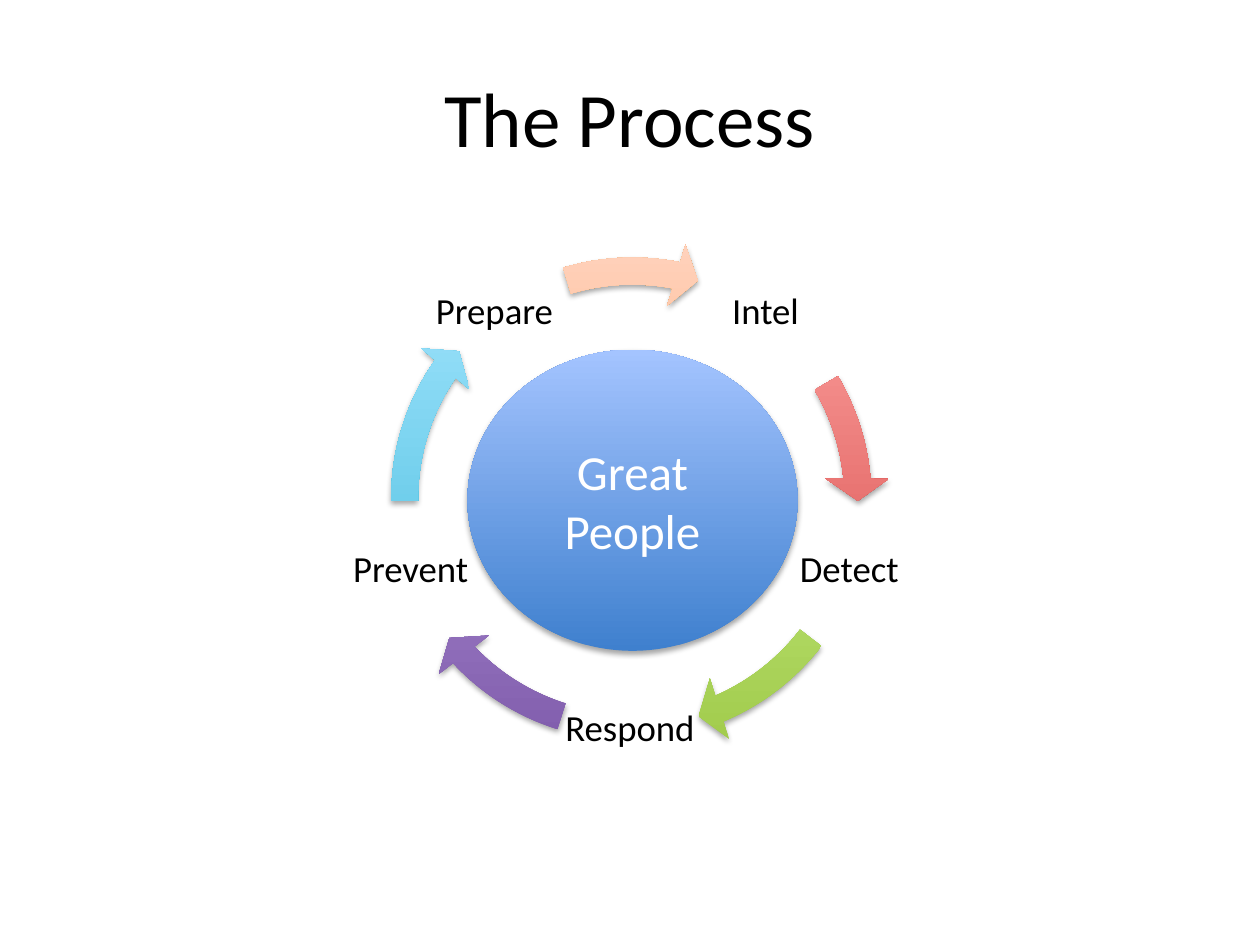
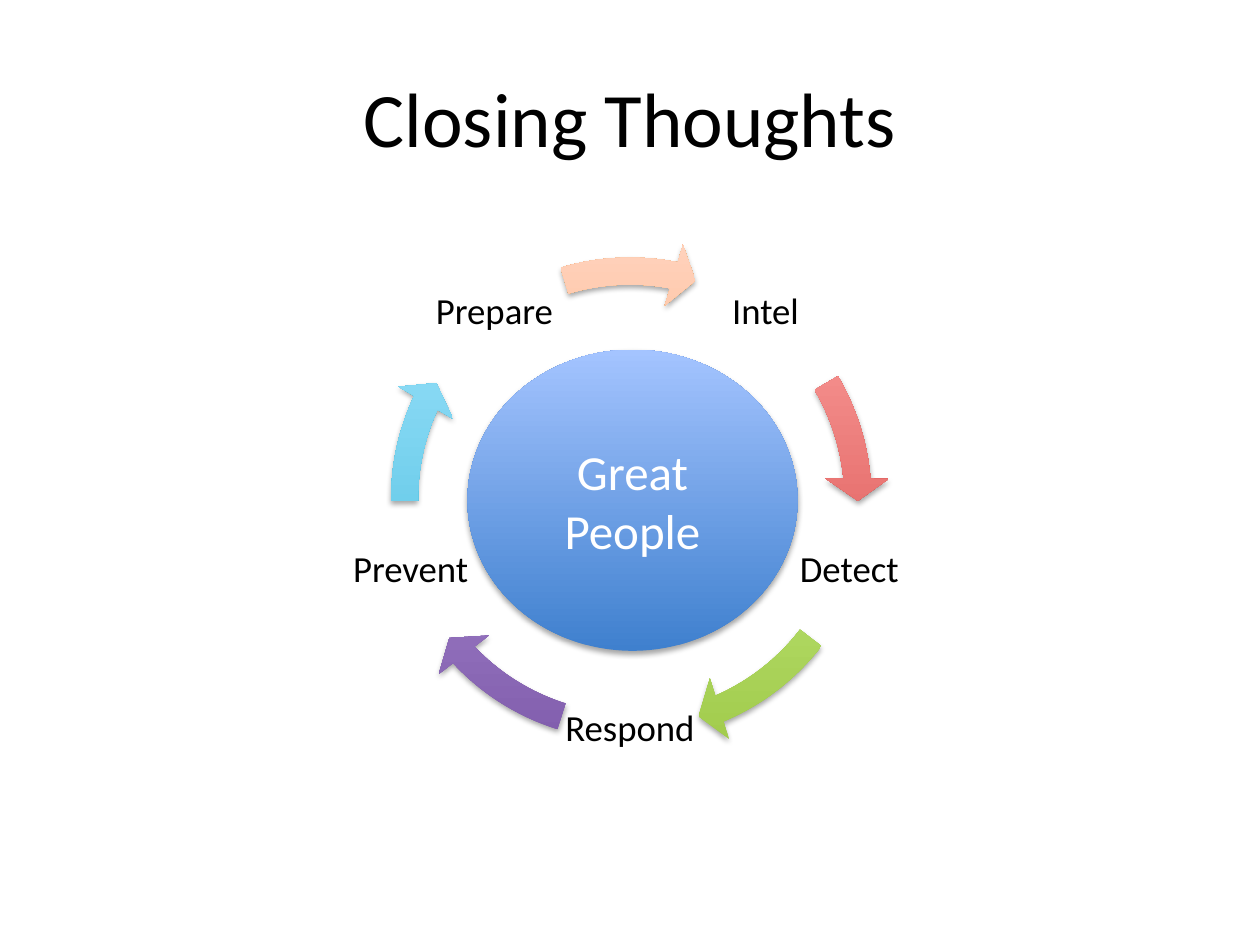
import math
from lxml import etree
from pptx import Presentation
from pptx import util as u
from pptx.dml import color
from pptx.enum import shapes, text
from pptx.oxml import ns

WIDE, HIGH = 10, 7.5
FONT = "Calibri"
HEX = {
    "ink": "000000", "pale": "FFFFFF",
    "red": ("D1403C", "FFA6A5"),
    "green": ("A0CA4A", "DAFFA5"),
    "violet": ("7F5BAB", "C8B0ED"),
    "cyan": ("39B7D8", "A7E6FF"),
    "orange": ("FF953E", "FFD2BD"),
    "blue": ("3F80CE", "A4C4FF"),
}

# Cycle geometry: inches and degrees, clockwise from the right
MID = (WIDE * 0.5, HIGH * 0.528)
RING, ORBIT, LABEL = 4.12, 1.83, 1.1
SHIFT = 0.02
STEPS = [  # label, arrow colour, arrow start, arrow end
    ("Intel", "red", 329.44, 354.88),
    ("Detect", "green", 37.56, 66.91),
    ("Respond", "violet", 107.5, 136.84),
    ("Prevent", "cyan", 179.52, 204.96),
    ("Prepare", "orange", 253.31, 281.09),
]


def box(x, y, w, h):
    """Frame of a w by h element centred on x, y."""
    return [u.Inches(n) for n in (x - w / 2, y - h / 2, w, h)]


def write(frame, lines, size, ink):
    frame.word_wrap = True
    frame.vertical_anchor = text.MSO_ANCHOR.MIDDLE
    for i, line in enumerate(lines):
        para = frame.add_paragraph() if i else frame.paragraphs[0]
        para.alignment = text.PP_ALIGN.CENTER
        run = para.add_run()
        run.text = line
        run.font.size = u.Pt(size)
        run.font.name = FONT
        run.font.color.rgb = color.RGBColor.from_string(HEX[ink])


def shade(shape, tone):
    """Upright gradient, no outline and a soft shadow below."""
    shape.line.fill.background()
    shape.fill.gradient()
    shape.fill.gradient_angle = 90
    for stop, code in zip(shape.fill.gradient_stops, HEX[tone]):
        stop.color.rgb = color.RGBColor.from_string(code)
    shape.shadow.inherit = False
    glow = shape._element.spPr.find(ns.qn("a:effectLst"))
    drop = etree.SubElement(glow, ns.qn("a:outerShdw"), blurRad="40000",
                            dist="23000", dir="5400000", rotWithShape="0")
    tint = etree.SubElement(drop, ns.qn("a:srgbClr"), val=HEX["ink"])
    etree.SubElement(tint, ns.qn("a:alpha"), val="35000")


def label(group, name, turn, tall):
    angle = math.radians(turn)
    x = MID[0] + ORBIT * math.cos(angle)
    y = MID[1] + ORBIT * math.sin(angle)
    frame = group.shapes.add_textbox(*box(x, y, LABEL, tall)).text_frame
    frame.margin_left = frame.margin_right = u.Inches(0.03)
    frame.margin_top = frame.margin_bottom = u.Inches(0.03)
    write(frame, [name], 21, "ink")
    frame.paragraphs[0].line_spacing = 0.9


def arrow(group, tone, start, end, shift):
    arc = group.shapes.add_shape(shapes.MSO_SHAPE.CIRCULAR_ARROW,
                                 *box(MID[0] + shift, MID[1], RING, RING))
    # Angles count in units of 1/0.6 degree
    values = (0.052, 5.6 * 0.6, end * 0.6, start * 0.6, 0.061)
    for i, value in enumerate(values):
        arc.adjustments[i] = value
    shade(arc, tone)


def hub(slide):
    disc = slide.shapes.add_shape(shapes.MSO_SHAPE.OVAL,
                                  *box(5.02, 3.97, 2.62, 2.39))
    shade(disc, "blue")
    write(disc.text_frame, ["Great", "People"], 28, "pale")


def cycle(slide, ends, moved, talls):
    """Labels and arrows; the dicts hold what one slide does differently."""
    group = slide.shapes.add_group_shape()
    for i, (name, tone, start, end) in enumerate(STEPS):
        turn = -54 + i * 360 / len(STEPS)
        label(group, name, turn, talls.get(name, LABEL))
        arrow(group, tone, start, ends.get(name, end),
              SHIFT if name in moved else 0)
    hub(slide)


def page(deck, name):
    slide = deck.slides.add_slide(deck.slide_layouts[5])
    title = slide.shapes.title
    title.left, title.top, title.width, title.height = box(
        WIDE / 2, HIGH * 0.123, WIDE * 0.9, HIGH / 6)
    write(title.text_frame, [name], 44, "ink")
    return slide


def main():
    deck = Presentation()
    deck.slide_width, deck.slide_height = u.Inches(WIDE), u.Inches(HIGH)

    # Process: the arrow into Prepare reaches further
    cycle(page(deck, "The Process"), {"Prevent": 214.81},
          ("Prevent", "Prepare"), {"Prepare": 0.59})

    # Closing
    cycle(page(deck, "Closing Thoughts"), {}, ("Prevent",), {})

    deck.save("out.pptx")


if __name__ == "__main__":
    main()
